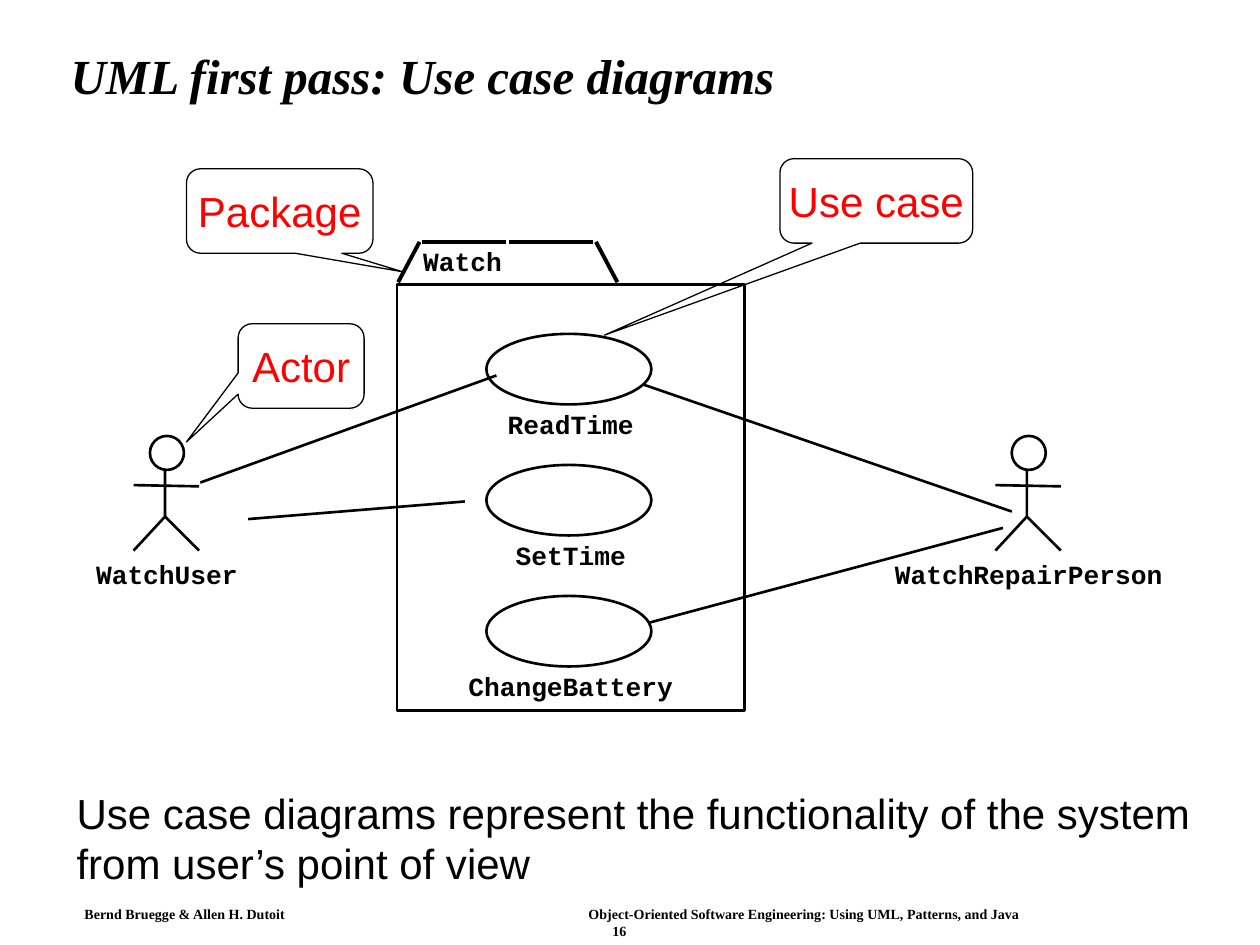
import pptx
import pptx.util
import pptx.dml.color
import pptx.enum.shapes
import pptx.enum.text
import pptx.oxml
import pptx.oxml.ns

BLACK = pptx.dml.color.RGBColor(0, 0, 0)
WHITE = pptx.dml.color.RGBColor(255, 255, 255)
RED = pptx.dml.color.RGBColor(255, 0, 0)
SHAPE = pptx.enum.shapes.MSO_SHAPE
ALIGN = pptx.enum.text.PP_ALIGN
ANCHOR = pptx.enum.text.MSO_ANCHOR

WIDE = pptx.util.Inches(10)
HIGH = pptx.util.Inches(7.5)
COLS, ROWS = 100, 75
CHAR = 1.25
CASES = ("ReadTime", "SetTime", "ChangeBattery")
CASE_TOP, CASE_STEP = 26.5, 10.4


def col(n):
    return round(n * WIDE / COLS)


def row(n):
    return round(n * HIGH / ROWS)


def place(x, y, w, h):
    return col(x), row(y), col(w), row(h)


def write(frame, text, font="Arial", size=24, color=BLACK, bold=False,
          italic=False, align=ALIGN.LEFT, anchor=ANCHOR.TOP, inset=(1, 0.5),
          wrap=False, space=None):
    frame.word_wrap = wrap
    frame.auto_size = pptx.enum.text.MSO_AUTO_SIZE.NONE
    frame.vertical_anchor = anchor
    frame.margin_left = frame.margin_right = col(inset[0])
    frame.margin_top = frame.margin_bottom = row(inset[1])
    frame.text = text
    for para in frame.paragraphs:
        para.alignment = align
        para.line_spacing = space
        for run in para.runs:
            run.font.name = font
            run.font.size = pptx.util.Pt(size)
            run.font.color.rgb = color
            run.font.bold = bold
            run.font.italic = italic


def add_text(slide, text, x, y, w, h, **form):
    box = slide.shapes.add_textbox(*place(x, y, w, h))
    write(box.text_frame, text, **form)
    return box


def add_code(slide, text, mid, y):
    wide = len(text) * CHAR
    add_text(slide, text, mid - wide / 2, y, wide, 2.5,
             font="Courier New", size=15, bold=True, inset=(0, 0))


def style(shape, fill=None, width=1.5):
    shape.shadow.inherit = False
    if fill is None:
        shape.fill.background()
    else:
        shape.fill.solid()
        shape.fill.fore_color.rgb = fill
    shape.line.color.rgb = BLACK
    shape.line.width = pptx.util.Pt(width)


def add_shape(slide, kind, x, y, w, h, **look):
    shape = slide.shapes.add_shape(kind, *place(x, y, w, h))
    style(shape, **look)
    return shape


def add_line(slide, x1, y1, x2, y2, width=1.5):
    line = slide.shapes.add_connector(
        pptx.enum.shapes.MSO_CONNECTOR.STRAIGHT,
        col(x1), row(y1), col(x2), row(y2))
    line.line.color.rgb = BLACK
    line.line.width = pptx.util.Pt(width)
    props = line._element.spPr
    props.append(pptx.oxml.parse_xml(
        "<a:effectLst %s/>" % pptx.oxml.ns.nsdecls("a")))


def add_actor(slide, name, mid):
    left, right = mid - 2.5, mid + 2.7
    pen = slide.shapes.build_freeform(col(mid), row(36.5))
    pen.add_line_segments(
        [(col(mid), row(41)), (col(left), row(43.7))], close=False)
    style(pen.convert_to_shape())
    add_line(slide, mid, 41, right, 43.7)
    add_line(slide, left, 38.5, right, 38.6)
    add_shape(slide, SHAPE.OVAL, mid - 1.2, 34.6, 2.7, 2.7, fill=WHITE)
    add_code(slide, name, mid + 0.15, 44.3)


def add_case(slide, name, y):
    add_shape(slide, SHAPE.OVAL, 38.6, y, 13.1, 5.6)
    add_code(slide, name, 45.3, y + 5.9)


def add_note(slide, text, x, y, w, tip):
    note = add_shape(slide, SHAPE.ROUNDED_RECTANGULAR_CALLOUT, x, y, w, 6.7,
                     fill=WHITE, width=0.75)
    note.adjustments[0], note.adjustments[1] = tip
    write(note.text_frame, text, color=RED, align=ALIGN.CENTER,
          anchor=ANCHOR.MIDDLE)


def add_package(slide, name):
    add_shape(slide, SHAPE.RECTANGLE, 31.5, 22.6, 27.6, 33.8)
    for ends in ((31.6, 22.4, 33.3, 19.2), (33.5, 19.2, 40.2, 19.2),
                 (49, 22.4, 47.3, 19.2), (47.1, 19.2, 40.4, 19.2)):
        add_line(slide, *ends, width=2.25)
    add_text(slide, name, 32.6, 19, 8.2, 3.5, font="Courier New", size=15,
             bold=True)


def add_title(slide, text):
    title = slide.shapes.title
    title.left, title.top, title.width, title.height = place(4.6, 2.4, 89.2, 7.7)
    write(title.text_frame, text, font="Times New Roman", size=28, bold=True,
          italic=True, anchor=ANCHOR.MIDDLE, wrap=True, space=0.9)


def add_footer(slide, left, right, page):
    box = add_text(slide, f"{left}\t{right}\n{page}", 5.9, 71.5, 86.5, 3.4,
                   font="Times New Roman", size=8, bold=True,
                   inset=(0.8, 0.4), wrap=True)
    first, last = box.text_frame.paragraphs
    first._p.get_or_add_pPr().append(pptx.oxml.parse_xml(
        '<a:tabLst %s><a:tab pos="%d" algn="l"/></a:tabLst>'
        % (pptx.oxml.ns.nsdecls("a"), col(40))))
    last.alignment = ALIGN.CENTER


def main():
    deck = pptx.Presentation()
    deck.slide_width, deck.slide_height = WIDE, HIGH
    slide = deck.slides.add_slide(deck.slide_layouts[5])
    add_footer(slide, "Bernd Bruegge & Allen H. Dutoit",
               "Object-Oriented Software Engineering: Using UML, Patterns, and Java",
               "16")
    add_title(slide, "UML first pass: Use case diagrams")
    add_actor(slide, "WatchUser", 13.1)
    add_actor(slide, "WatchRepairPerson", 81.5)
    for i, name in enumerate(CASES):
        add_case(slide, name, CASE_TOP + i * CASE_STEP)
    for ends in ((15.9, 38.3, 39.4, 29.8), (19.7, 41.2, 36.9, 39.8),
                 (51.6, 49.4, 79.6, 41.9), (51, 30.5, 80.3, 40.6)):
        add_line(slide, *ends)
    add_note(slide, "Actor", 18.9, 25.7, 10, (-0.91, 0.9))
    add_note(slide, "Use case", 61.9, 12.6, 15.3, (-1.41, 1.59))
    add_note(slide, "Package", 14.8, 13.4, 14.8, (0.66, 0.72))
    add_package(slide, "Watch")
    add_text(slide, "Use case diagrams represent the functionality of the system\n"
             "from user’s point of view", 5.1, 62, 90.3, 9)
    deck.save("out.pptx")


if __name__ == "__main__":
    main()
